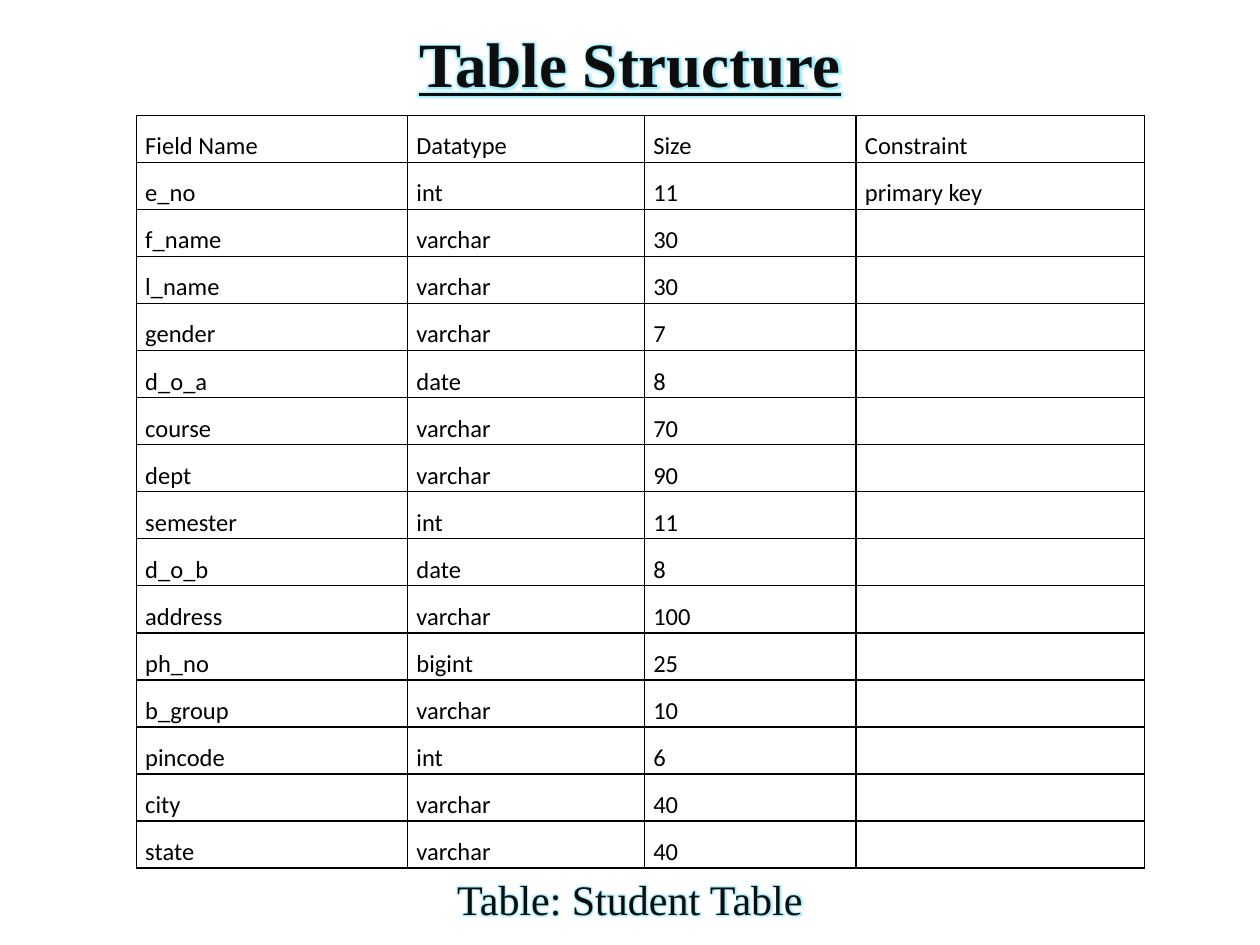
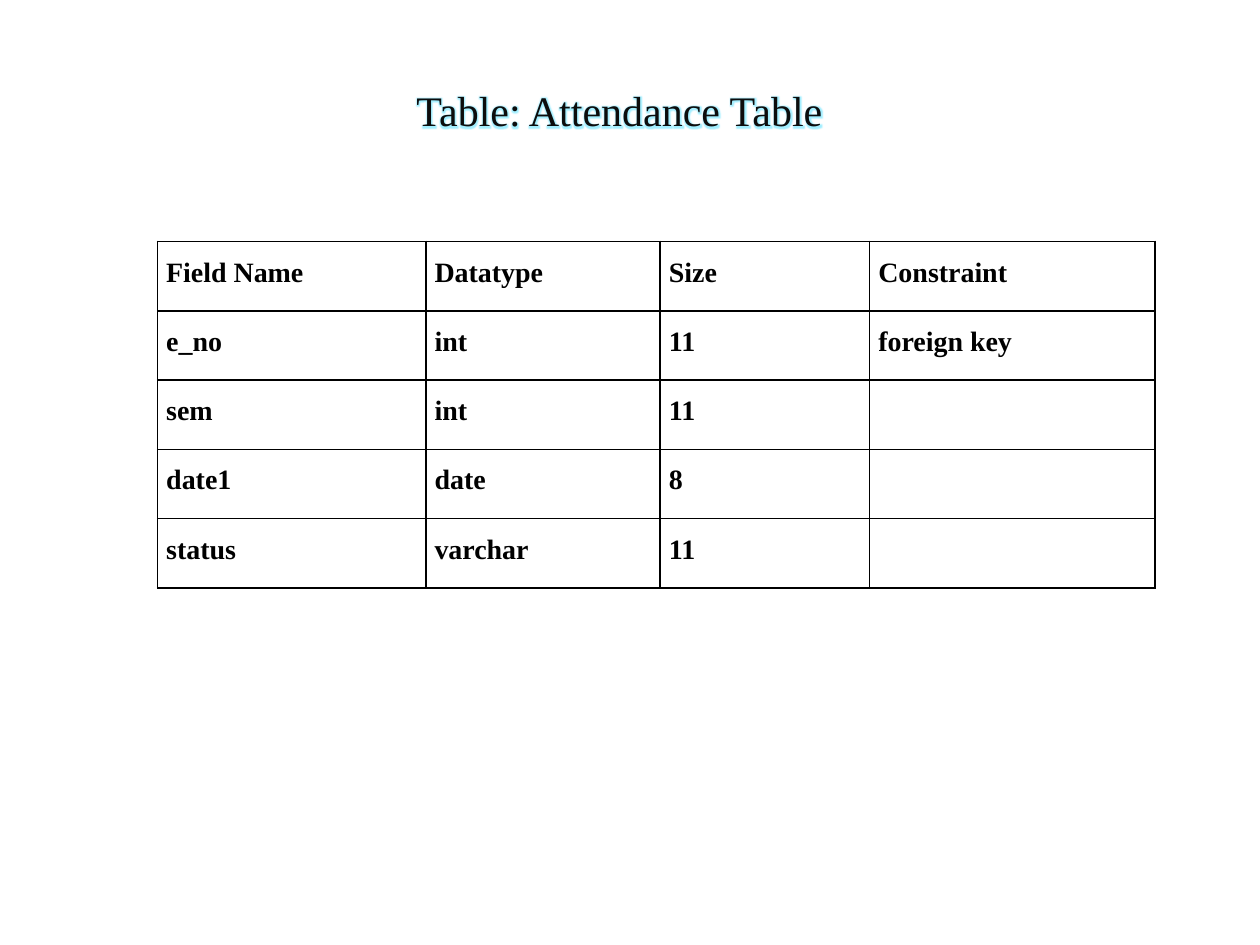
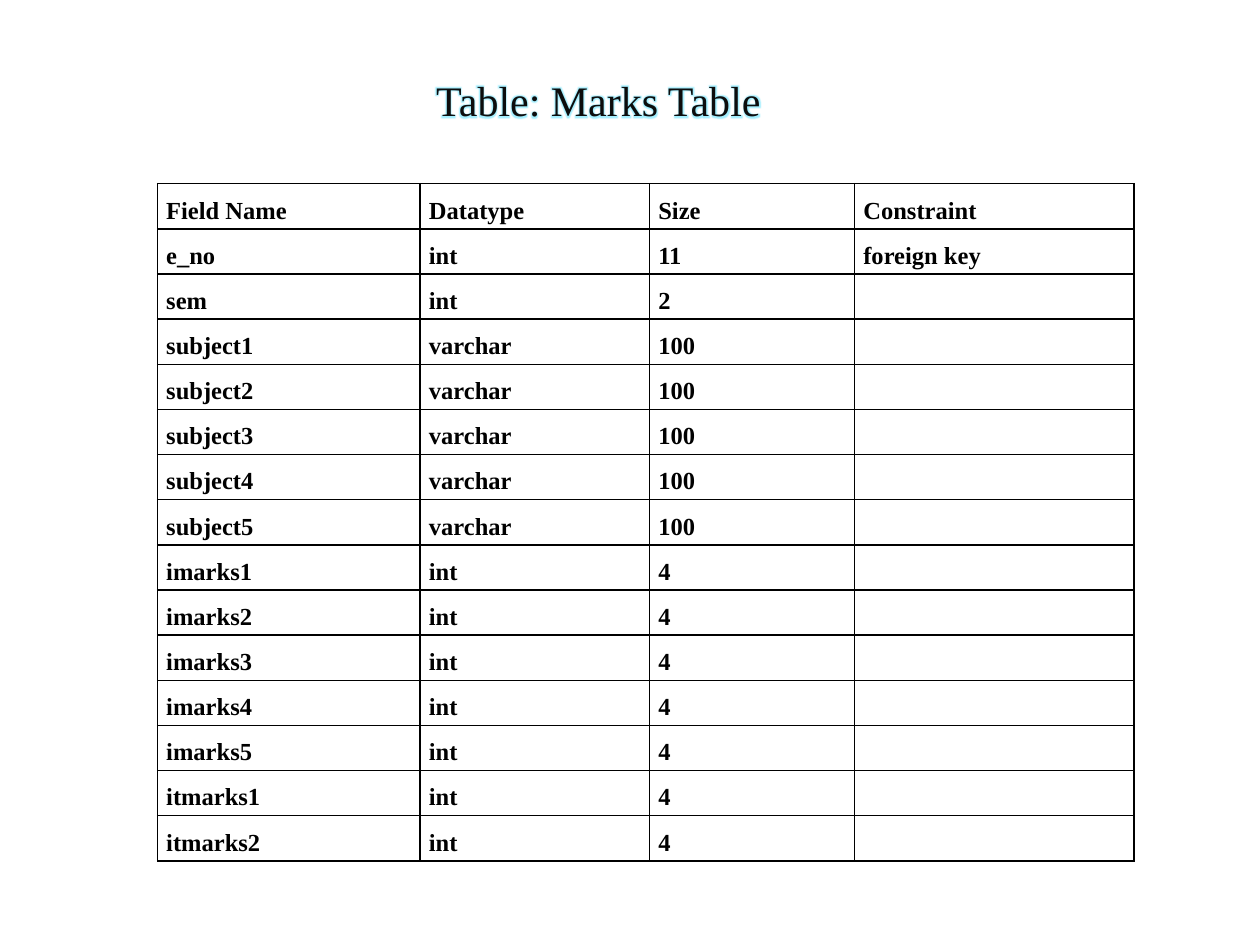
import pptx
import pptx.dml.color
import pptx.enum.text
import pptx.oxml
import pptx.oxml.ns
import pptx.util

Pt = pptx.util.Pt
COLORS = {"title": "0D0D0D", "glow": "19D6FF", "ink": "000000"}
SERIF = "Times New Roman"
HEADER = ("Field Name", "Datatype", "Size", "Constraint")
COLUMN_SHARES = (0.269, 0.235, 0.21, 0.286)
NAMESPACE = pptx.oxml.ns.nsdecls("a")

STUDENT_FIELDS = [
    ("e_no", "int", "11", "primary key"),
    ("f_name", "varchar", "30"),
    ("l_name", "varchar", "30"),
    ("gender", "varchar", "7"),
    ("d_o_a", "date", "8"),
    ("course", "varchar", "70"),
    ("dept", "varchar", "90"),
    ("semester", "int", "11"),
    ("d_o_b", "date", "8"),
    ("address", "varchar", "100"),
    ("ph_no", "bigint", "25"),
    ("b_group", "varchar", "10"),
    ("pincode", "int", "6"),
    ("city", "varchar", "40"),
    ("state", "varchar", "40"),
]
ATTENDANCE_FIELDS = [
    ("e_no", "int", "11", "foreign key"),
    ("sem", "int", "11"),
    ("date1", "date", "8"),
    ("status", "varchar", "11"),
]
MARKS_FIELDS = [
    ("e_no", "int", "11", "foreign key"),
    ("sem", "int", "2"),
    *[(f"subject{number}", "varchar", "100") for number in range(1, 6)],
    *[(f"imarks{number}", "int", "4") for number in range(1, 6)],
    *[(f"itmarks{number}", "int", "4") for number in range(1, 3)],
]


class SchemaDeck:
    def __init__(self):
        self.deck = pptx.Presentation()
        self.deck.slide_width = Pt(720)
        self.deck.slide_height = Pt(540)
        self.page = None

    def add_page(self):
        self.page = self.deck.slides.add_slide(self.deck.slide_layouts[6])

    def set_font(self, font, size, color, name=SERIF, bold=False):
        font.name = name
        font.size = Pt(size)
        font.bold = bold
        font.color.rgb = pptx.dml.color.RGBColor.from_string(COLORS[color])

    def add_heading(self, text, left, top, height=70.5, size=24, strong=False):
        box = self.page.shapes.add_textbox(Pt(left), Pt(top), Pt(624), Pt(height))
        frame = box.text_frame
        frame.word_wrap = True
        frame.margin_top = Pt(3.6 + 0.12 * size)
        para = frame.paragraphs[0]
        para.alignment = pptx.enum.text.PP_ALIGN.CENTER
        self.set_font(para.font, size, "title", bold=strong)
        para.font.underline = strong
        span = para.add_run()
        span.text = text
        self.add_glow(span)

    def add_glow(self, span):
        span._r.get_or_add_rPr().append(pptx.oxml.parse_xml(
            f'<a:effectLst {NAMESPACE}><a:glow rad="{Pt(4)}">'
            f'<a:srgbClr val="{COLORS["glow"]}"><a:alpha val="40000"/></a:srgbClr>'
            '</a:glow></a:effectLst>'))

    def add_borders(self, cell):
        properties = cell._tc.get_or_add_tcPr()
        for side in ("lnL", "lnR", "lnT", "lnB"):
            properties.append(pptx.oxml.parse_xml(
                f'<a:{side} {NAMESPACE} w="{Pt(1)}"><a:solidFill>'
                f'<a:srgbClr val="{COLORS["ink"]}"/></a:solidFill></a:{side}>'))

    def fill_cell(self, cell, text, anchor, font):
        self.add_borders(cell)
        cell.fill.background()
        cell.margin_left = cell.margin_right = Pt(5)
        cell.margin_top = cell.margin_bottom = 0
        cell.vertical_anchor = anchor
        para = cell.text_frame.paragraphs[0]
        self.set_font(para.font, color="ink", **font)
        if text:
            para.line_spacing = 1.5
            para.add_run().text = text

    def add_field_table(self, fields, left, top, width, row_height,
                        anchor=pptx.enum.text.MSO_ANCHOR.TOP, **font):
        rows = [HEADER, *fields]
        table = self.page.shapes.add_table(
            len(rows), len(HEADER), Pt(left), Pt(top),
            Pt(width), Pt(row_height * len(rows))).table
        table.first_row = table.horz_banding = False
        for column, share in zip(table.columns, COLUMN_SHARES):
            column.width = Pt(width * share)
        for row_index, values in enumerate(rows):
            table.rows[row_index].height = Pt(row_height)
            for column_index in range(len(HEADER)):
                text = values[column_index] if column_index < len(values) else ""
                self.fill_cell(table.cell(row_index, column_index), text, anchor, font)


def main():
    schema = SchemaDeck()

    schema.add_page()
    schema.add_heading("Table Structure", 48, 6, height=85, size=36, strong=True)
    schema.add_field_table(STUDENT_FIELDS, 78, 66, 576, 26.9, size=14, name="Calibri",
                           anchor=pptx.enum.text.MSO_ANCHOR.MIDDLE)
    schema.add_heading("Table: Student Table", 48, 492.5)

    schema.add_page()
    schema.add_field_table(ATTENDANCE_FIELDS, 90, 138, 570, 39.6, size=16, bold=True)
    schema.add_heading("Table: Attendance Table", 42, 42)

    schema.add_page()
    schema.add_field_table(MARKS_FIELDS, 90, 105, 558, 25.8, size=14, bold=True)
    schema.add_heading("Table: Marks Table", 30, 36)

    schema.deck.save("out.pptx")


if __name__ == "__main__":
    main()
